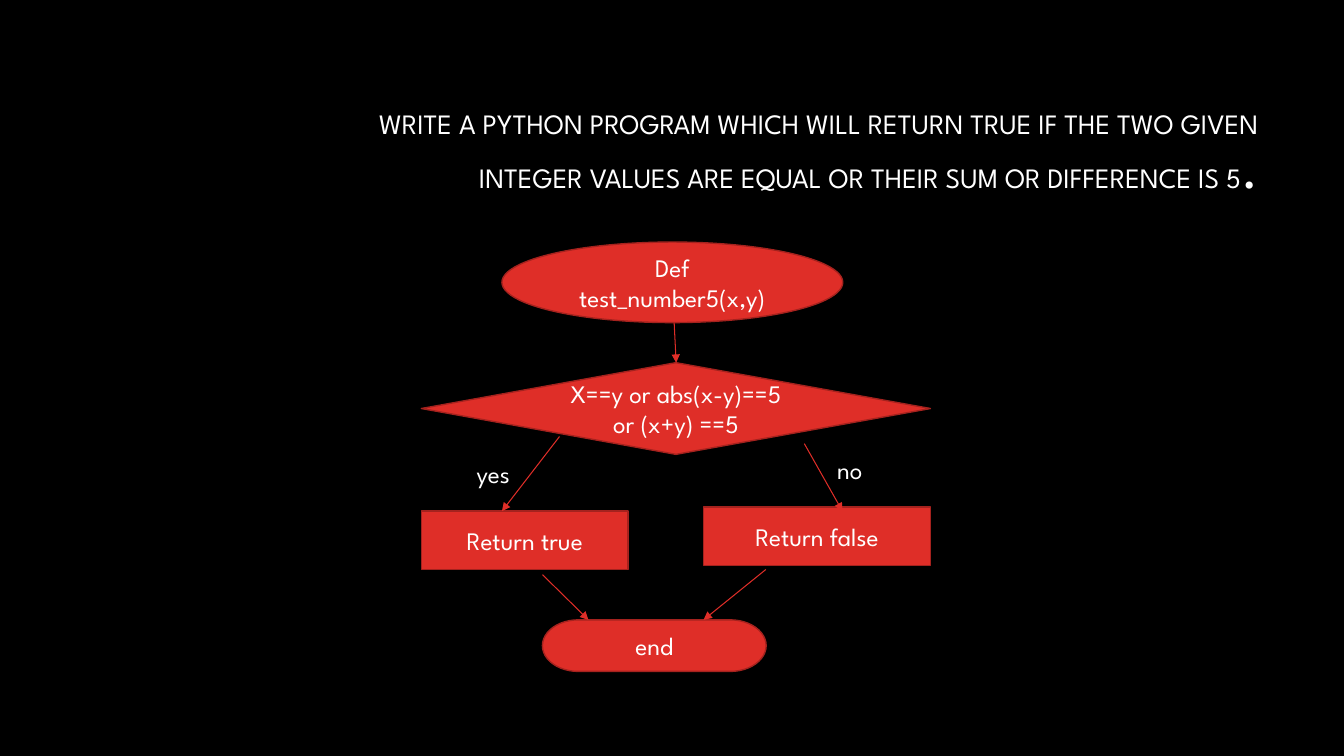
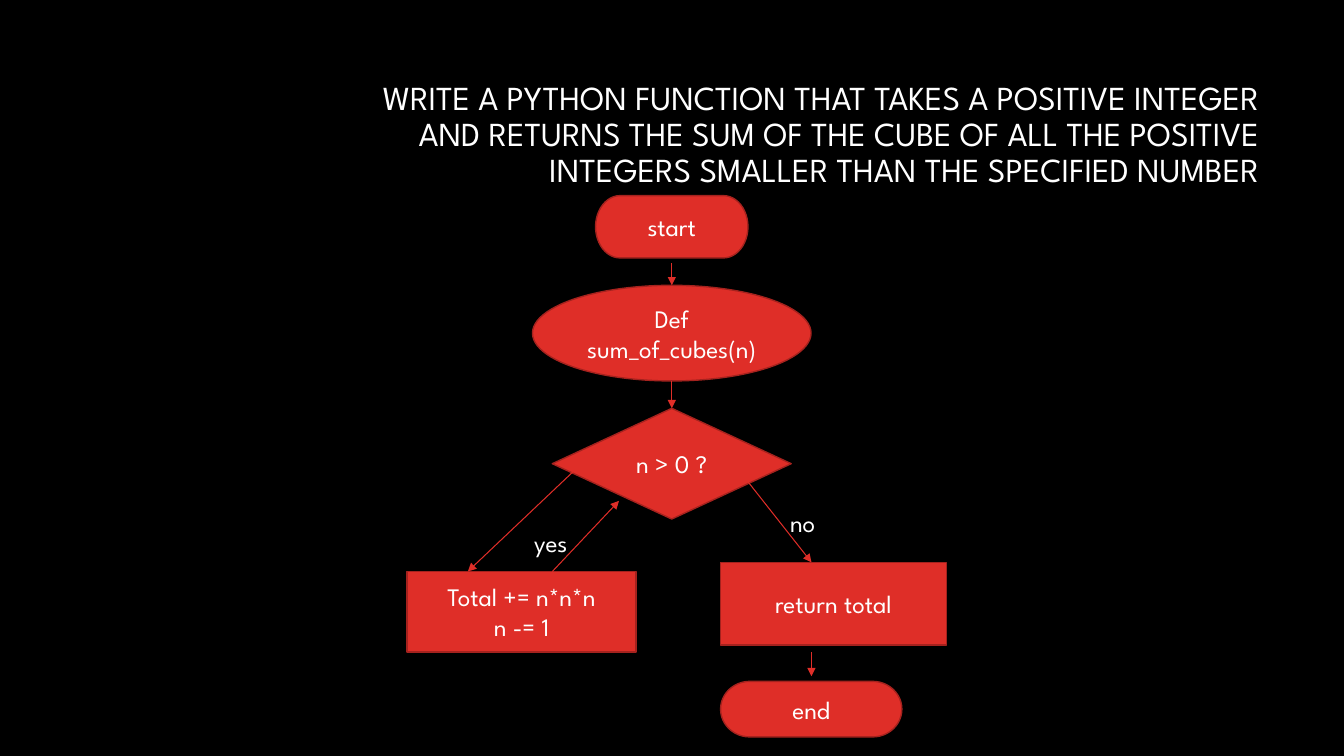
from dataclasses import dataclass

from lxml import etree
from pptx import Presentation
from pptx.dml.color import RGBColor
from pptx.enum import shapes, text
from pptx.oxml import ns
from pptx.util import Cm, Pt

KIND = shapes.MSO_SHAPE


@dataclass(frozen=True)
class Theme:
    background: RGBColor = RGBColor.from_string("000000")
    ink: RGBColor = RGBColor.from_string("FFFFFF")
    fill: RGBColor = RGBColor.from_string("DF2E28")
    outline: RGBColor = RGBColor.from_string("A5221E")
    font: str = "League Spartan"
    body_size: int = 18
    outline_width: float = 1
    arrow_width: float = 0.75


class Flowchart:
    """Holds the theme and the slide being drawn; all lengths are in cm."""

    def __init__(self, prs, theme):
        self.prs, self.theme, self.slide = prs, theme, None

    def new_slide(self):
        self.slide = self.prs.slides.add_slide(self.prs.slide_layouts[6])
        background = self.slide.background.fill
        background.solid()
        background.fore_color.rgb = self.theme.background

    def style(self, p, size, align=None):
        p.font.name = self.theme.font
        p.font.size = Pt(size)
        p.font.color.rgb = self.theme.ink
        p.alignment = align

    def title(self, words, size, big_end=None):
        """Right-aligned heading; big_end is a (text, size) closing run."""
        tf = self.slide.shapes.add_textbox(Cm(8.05), Cm(2.13), Cm(23.93), Cm(3.58)).text_frame
        tf.word_wrap = True
        tf.vertical_anchor = text.MSO_ANCHOR.MIDDLE
        p = tf.paragraphs[0]
        p.text = words
        p.line_spacing = 0.9
        self.style(p, size, text.PP_ALIGN.RIGHT)
        if big_end:
            r = p.add_run()
            r.text, end_size = big_end
            r.font.size = Pt(end_size)

    def node(self, kind, words, left, top, width, height):
        sp = self.slide.shapes.add_shape(kind, Cm(left), Cm(top), Cm(width), Cm(height))
        sp.shadow.inherit = False
        sp.fill.solid()
        sp.fill.fore_color.rgb = self.theme.fill
        sp.line.color.rgb = self.theme.outline
        sp.line.width = Pt(self.theme.outline_width)
        tf = sp.text_frame
        tf.word_wrap = True
        tf.vertical_anchor = text.MSO_ANCHOR.MIDDLE
        tf.text = words
        for p in tf.paragraphs:
            self.style(p, self.theme.body_size, text.PP_ALIGN.CENTER)

    def arrow(self, x1, y1, x2, y2):
        line = self.slide.shapes.add_connector(
            shapes.MSO_CONNECTOR.STRAIGHT, Cm(x1), Cm(y1), Cm(x2), Cm(y2))
        line.line.color.rgb = self.theme.fill
        line.line.width = Pt(self.theme.arrow_width)
        properties = line._element.spPr
        etree.SubElement(properties.find(ns.qn("a:ln")), ns.qn("a:tailEnd"), type="triangle")
        etree.SubElement(properties, ns.qn("a:effectLst"))

    def label(self, words, left, top, width):
        tf = self.slide.shapes.add_textbox(Cm(left), Cm(top), Cm(width), Cm(1.02)).text_frame
        tf.word_wrap = False
        tf.auto_size = text.MSO_AUTO_SIZE.SHAPE_TO_FIT_TEXT
        tf.text = words
        self.style(tf.paragraphs[0], self.theme.body_size)

    def branch_labels(self, yes, no):
        self.label("yes", *yes, 1.52)
        self.label("no", *no, 1.32)

    def draw(self, nodes, arrows):
        for node in nodes:
            self.node(*node)
        for arrow in arrows:
            self.arrow(*arrow)


def equal_or_five(chart):
    chart.new_slide()
    chart.title("WRITE A PYTHON PROGRAM WHICH WILL RETURN TRUE IF THE TWO GIVEN INTEGER "
                "VALUES ARE EQUAL OR THEIR SUM OR DIFFERENCE IS 5", 20, (".", 40))
    left, branch_height, end_top = 10.62, 1.47, 15.62
    chart.draw(
        nodes=[
            (KIND.OVAL, "Def test_number5(x,y)", 12.65, 6.1, 8.59, 2.03),
            (KIND.FLOWCHART_DECISION, "X==y or abs(x-y)==5 or (x+y) ==5",
             left, 9.14, 12.83, 2.31),
            (KIND.FLOWCHART_PROCESS, "Return true", left, 12.88, 5.21, branch_height),
            (KIND.FLOWCHART_PROCESS, "Return false", 17.73, 12.78, 5.72, branch_height),
            (KIND.FLOWCHART_TERMINATOR, "end", 13.67, end_top, 5.64, 1.3),
        ],
        arrows=[
            (16.99, 8.13, 17.04, 9.14),
            (14.1, 11, 12.65, 12.88),
            (20.27, 11.18, 21.23, 12.88),
            (13.67, 14.48, 14.83, end_top),
            (19.3, 14.35, 17.73, end_top),
        ])
    chart.branch_labels(yes=(11.76, 11.43), no=(20.85, 11.33))


def sum_of_cubes(chart):
    chart.new_slide()
    chart.title("WRITE A PYTHON FUNCTION THAT TAKES A POSITIVE INTEGER AND RETURNS THE SUM "
                "OF THE CUBE OF ALL THE POSITIVE INTEGERS SMALLER THAN THE SPECIFIED NUMBER\v", 24)
    axis, result_axis, result_left = 16.93, 20.45, 18.16
    loop_top, result_top = 14.4, 14.17
    chart.draw(
        nodes=[
            (KIND.FLOWCHART_TERMINATOR, "start", axis - 1.92, 4.93, 3.84, 1.57),
            (KIND.OVAL, "Def sum_of_cubes(n)", axis - 3.51, 7.19, 7.02, 2.41),
            (KIND.FLOWCHART_DECISION, "n > 0 ?", axis - 3.01, 10.29, 6.02, 2.79),
            (KIND.FLOWCHART_PROCESS, "Total += n*n*n\nn -= 1", 10.26, loop_top, 5.77, 2.03),
            (KIND.FLOWCHART_PROCESS, "return total", result_left, result_top, 5.69, 2.08),
            (KIND.FLOWCHART_TERMINATOR, "end", result_left, 17.17, 4.57, 1.4),
        ],
        arrows=[
            (axis, 6.63, axis, 7.19),
            (axis, 9.6, axis, 10.29),
            (14.66, 11.68, 11.79, loop_top),
            (18.85, 12.14, result_axis, result_top),
            (13.92, loop_top, 15.6, 12.62),
            (result_axis, 16.43, result_axis, 17.04),
        ])
    chart.branch_labels(yes=(13.21, 13.16), no=(19.66, 12.65))


def main():
    prs = Presentation()
    prs.slide_width, prs.slide_height = Cm(33.87), Cm(19.05)
    chart = Flowchart(prs, Theme())
    equal_or_five(chart)
    sum_of_cubes(chart)
    prs.save("out.pptx")


if __name__ == "__main__":
    main()
